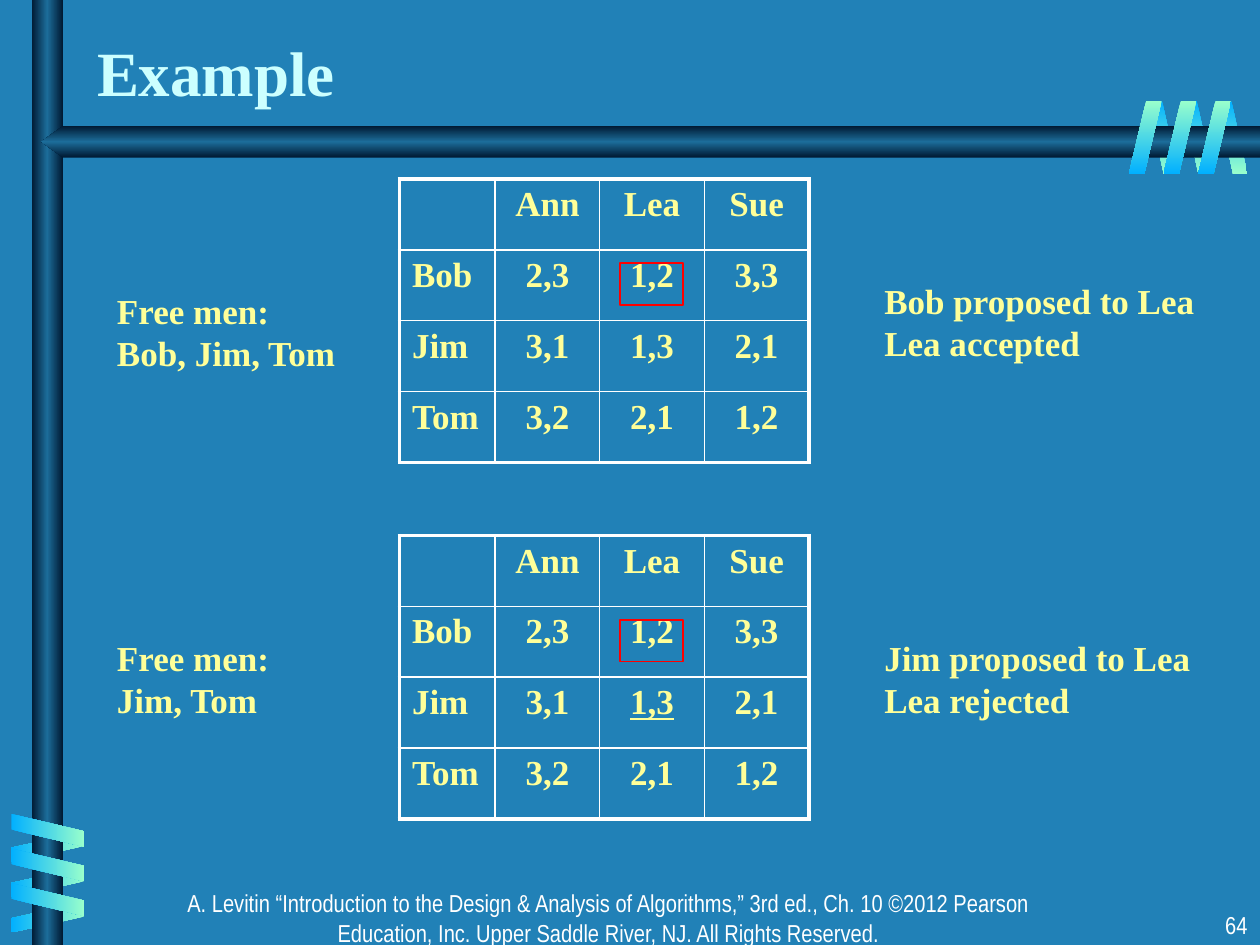
from lxml import etree
from pptx import Presentation
from pptx.dml.color import RGBColor
from pptx.enum.shapes import MSO_SHAPE
from pptx.enum.text import MSO_ANCHOR, PP_ALIGN
from pptx.oxml import parse_xml
from pptx.oxml.ns import nsdecls, qn
from pptx.util import Inches, Pt

LEFT, CENTER, RIGHT = PP_ALIGN.LEFT, PP_ALIGN.CENTER, PP_ALIGN.RIGHT
TOP, BOTTOM = MSO_ANCHOR.TOP, MSO_ANCHOR.BOTTOM
RECTANGLE, PARALLELOGRAM, PENTAGON = (
    MSO_SHAPE.RECTANGLE, MSO_SHAPE.PARALLELOGRAM, MSO_SHAPE.PENTAGON)

# Content
TITLE = "Example"
FOOTER = ("A. Levitin “Introduction to the Design & Analysis of Algorithms,” 3rd ed., Ch. 10 "
          "©2012 Pearson Education, Inc. Upper Saddle River, NJ. All Rights Reserved.")
PAGE_NUMBER = "64"
RANKINGS = [
    ["", "Ann", "Lea", "Sue"],
    ["Bob", "2,3", "1,2", "3,3"],
    ["Jim", "3,1", "1,3", "2,1"],
    ["Tom", "3,2", "2,1", "1,2"],
]
STEPS = [
    {"top": 1.42, "free": "Free men:\vBob, Jim, Tom", "free_top": 2.25,
     "result": "Bob proposed to Lea\vLea accepted", "result_top": 2.17, "rejected": None},
    {"top": 4.25, "free": "Free men:\vJim, Tom", "free_top": 5,
     "result": "Jim proposed to Lea\vLea rejected", "result_top": 5, "rejected": (2, 2)},
]

# Style
COLORS = {"background": "2181B7", "title": "CCFFFF", "body": "FFFF99", "white": "FFFFFF",
          "mark": "FF0000", "bar_edge": "001932", "bar_middle": "1C6D9A",
          "blue": "01B0FF", "mint": "99FFCC"}
TITLE_FONT = {"name": "Times New Roman", "size": Pt(36), "bold": True, "color": "title"}
BODY_FONT = {"name": "Times New Roman", "size": Pt(20), "bold": True, "color": "body"}
FOOTER_FONT = {"name": "Arial Narrow", "size": Pt(14), "bold": False, "color": "white"}
BAR_STOPS = ["bar_edge", "bar_middle", "bar_edge"]
TABLE_LEFT, NAME_WIDTH, SCORE_WIDTH, ROW_HEIGHT = 3.17, 0.76, 0.83, 0.5625
THIN, THICK = 1, 2.25

# Ribbons: place of the first piece, step to the next, size, turn, flip, colours, angle
BACK_RIBBONS = [
    {"first": (9.66, 0.8), "step": (-0.275, 0), "width": 0.24, "turn": 180, "flip": True,
     "stops": ["blue", "mint"], "angle": 90},
    {"first": (0.26, 6.43), "step": (0, 0.28), "width": 0.24, "turn": 90, "flip": True,
     "stops": ["mint", "blue"], "angle": 0},
]
FRONT_RIBBONS = [
    {"first": (0.25, 6.3), "step": (0, 0.275), "width": 0.26, "turn": 270, "flip": False,
     "stops": ["blue", "mint"], "angle": 0},
    {"first": (9.51, 0.8), "step": (-0.275, 0), "width": 0.26, "turn": 0, "flip": False,
     "stops": ["mint", "blue"], "angle": 90},
]


def rgb(name):
    return RGBColor.from_string(COLORS[name])


def write(frame, text, style, align=LEFT):
    frame.text = text
    paragraph = frame.paragraphs[0]
    paragraph.alignment = align
    for run in paragraph.runs:
        for key, value in style.items():
            if key == "color":
                run.font.color.rgb = rgb(value)
            else:
                setattr(run.font, key, value)
    return paragraph


def add_text(slide, box, text, style, align=LEFT):
    frame = slide.shapes.add_textbox(*map(Inches, box)).text_frame
    frame.word_wrap = True
    write(frame, text, style, align)


def add_plain_shape(slide, kind, box):
    shape = slide.shapes.add_shape(kind, *map(Inches, box))
    shape.shadow.inherit = False
    shape.fill.background()
    return shape


def add_gradient_shape(slide, kind, box, stops, angle, adjustment=None, turn=0, flip=False):
    shape = add_plain_shape(slide, kind, box)
    shape.line.fill.background()
    shape.rotation = turn
    if adjustment is not None:
        shape.adjustments[0] = adjustment
    properties = shape._element.spPr
    if flip:
        properties.find(qn("a:xfrm")).set("flipH", "1")
    gradient = parse_xml(f'<a:gradFill {nsdecls("a")} rotWithShape="0"><a:gsLst/>'
                         f'<a:lin ang="{angle * 60000}" scaled="0"/></a:gradFill>')
    for index, name in enumerate(stops):
        position = 100000 * index // (len(stops) - 1)
        stop = etree.SubElement(gradient[0], qn("a:gs"), pos=str(position))
        etree.SubElement(stop, qn("a:srgbClr"), val=COLORS[name])
    properties.replace(properties.find(qn("a:noFill")), gradient)


def add_ribbons(slide, ribbons):
    for ribbon in ribbons:
        for index in range(3):
            left, top = (start + index * step
                         for start, step in zip(ribbon["first"], ribbon["step"]))
            add_gradient_shape(slide, PARALLELOGRAM, (left, top, ribbon["width"], 0.58),
                               ribbon["stops"], ribbon["angle"], 0.53,
                               ribbon["turn"], ribbon["flip"])


def set_borders(cell, widths):
    properties = cell._tc.get_or_add_tcPr()
    for index, (side, width) in enumerate(widths.items()):
        properties.insert(index, parse_xml(
            f'<a:{side} {nsdecls("a")} w="{Pt(width)}"><a:solidFill>'
            f'<a:srgbClr val="{COLORS["white"]}"/></a:solidFill></a:{side}>'))


def add_rankings(slide, top, rejected):
    last = len(RANKINGS) - 1
    size = (NAME_WIDTH + last * SCORE_WIDTH, len(RANKINGS) * ROW_HEIGHT)
    table = slide.shapes.add_table(len(RANKINGS), len(RANKINGS[0]),
                                   *map(Inches, (TABLE_LEFT, top, *size))).table
    table.first_row = table.horz_banding = False
    for index, column in enumerate(table.columns):
        column.width = Inches(SCORE_WIDTH if index else NAME_WIDTH)
    for row_index, row in enumerate(RANKINGS):
        for column_index, text in enumerate(row):
            cell = table.cell(row_index, column_index)
            cell.fill.background()
            paragraph = write(cell.text_frame, text, BODY_FONT,
                              CENTER if column_index else LEFT)
            if (row_index, column_index) == rejected:
                paragraph.runs[0].font.underline = True
            set_borders(cell, {
                "lnL": THICK if column_index == 0 else THIN,
                "lnR": THICK if column_index == last else THIN,
                "lnT": THICK if row_index == 0 else THIN,
                "lnB": THICK if row_index == last else THIN})


def main():
    presentation = Presentation()
    presentation.slide_width, presentation.slide_height = Inches(10), Inches(7.5)
    slide = presentation.slides.add_slide(presentation.slide_layouts[5])
    slide.background.fill.solid()
    slide.background.fill.fore_color.rgb = rgb("background")

    # Bars and the ribbons wound around them
    add_ribbons(slide, BACK_RIBBONS)
    add_gradient_shape(slide, RECTANGLE, (0.25, 0, 0.25, 7.5), BAR_STOPS, 0)
    add_gradient_shape(slide, PENTAGON, (0.33, 1, 9.67, 0.25), BAR_STOPS, 90, 0.68, flip=True)
    add_ribbons(slide, FRONT_RIBBONS)

    # Title and footer
    title = slide.shapes.title
    title.left, title.top, title.width, title.height = map(Inches, (0.67, 0.17, 8.3, 0.75))
    title.text_frame.vertical_anchor = BOTTOM
    write(title.text_frame, TITLE, TITLE_FONT)
    add_text(slide, (1.33, 7, 7, 0.33), FOOTER, FOOTER_FONT, CENTER)
    add_text(slide, (7.92, 7.17, 2.08, 0.33), PAGE_NUMBER, FOOTER_FONT, RIGHT)

    # Steps: free men, rankings with the engaged pair marked, result
    for step in STEPS:
        add_text(slide, (0.83, step["free_top"], 2.25, 0.77), step["free"], BODY_FONT)
        add_rankings(slide, step["top"], step["rejected"])
        add_text(slide, (6.92, step["result_top"], 2.67, 0.77), step["result"], BODY_FONT)
        mark = add_plain_shape(slide, RECTANGLE, (4.92, step["top"] + 0.67, 0.5, 0.33))
        mark.line.color.rgb = rgb("mark")
        mark.line.width = Pt(1)

    presentation.save("out.pptx")


if __name__ == "__main__":
    main()
